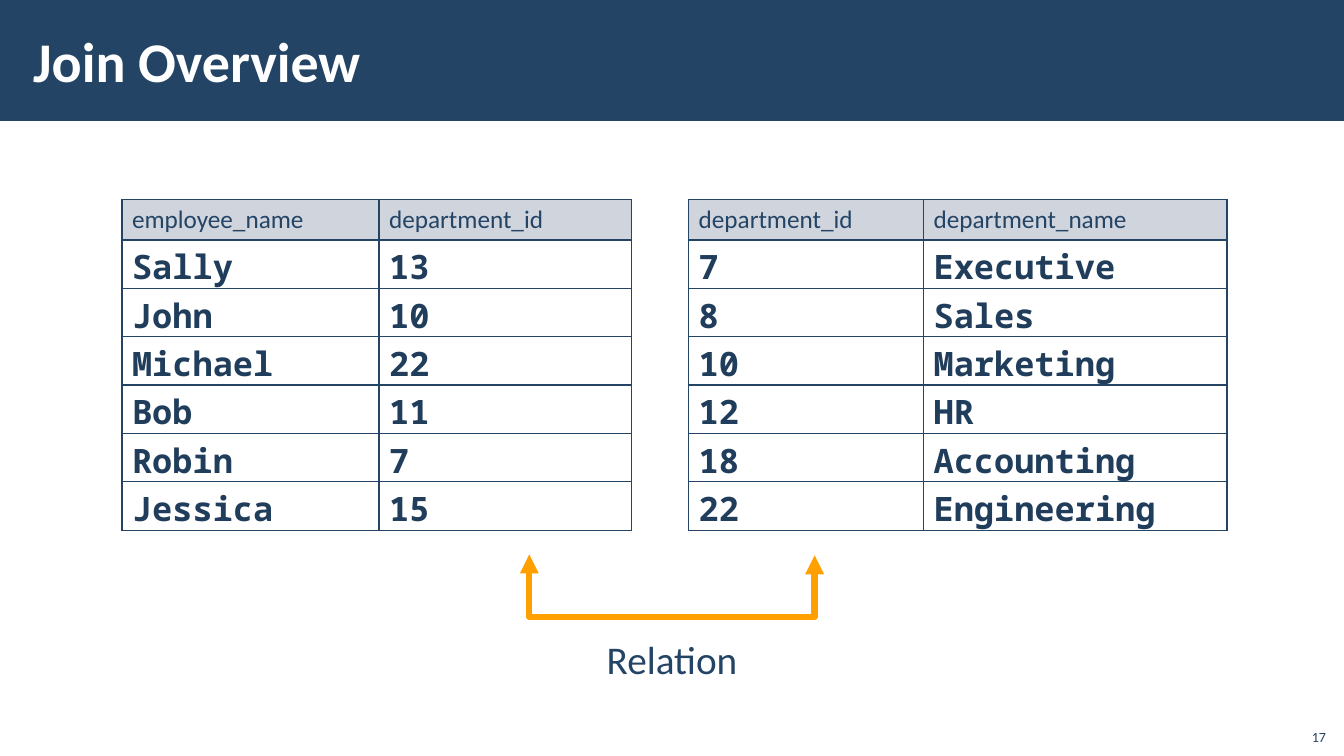
from dataclasses import dataclass

from lxml.etree import SubElement
from pptx import Presentation
from pptx.dml.color import RGBColor
from pptx.enum.shapes import MSO_CONNECTOR, MSO_SHAPE
from pptx.enum.text import MSO_ANCHOR, PP_ALIGN
from pptx.oxml.ns import qn
from pptx.util import Inches, Pt


@dataclass(frozen=True)
class Theme:
    """Colours, fonts and type sizes of the slide."""
    navy: str = "234465"
    ink: str = "203D5B"
    header: str = "A3ABBC"
    orange: str = "FFA000"
    white: str = "FFFFFF"
    font: str = "Calibri"
    mono: str = "Noto Sans Mono"
    title: int = 40
    label: int = 28
    value: int = 24
    heading: int = 18
    small: int = 10


def format_text(frame, text, *, size, color, font, bold=False,
                align=PP_ALIGN.LEFT, spacing=None):
    """Write one formatted paragraph into a text frame."""
    para = frame.paragraphs[0]
    para.alignment = align
    para.line_spacing = spacing
    span = para.add_run()
    span.text = text
    span.font.size = Pt(size)
    span.font.name = font
    span.font.bold = bold
    span.font.color.rgb = RGBColor.from_string(color)


def add_border(cell, color, width):
    """Draw a solid line on the four sides of a table cell."""
    properties = cell._tc.get_or_add_tcPr()
    for index, side in enumerate(("lnL", "lnR", "lnT", "lnB")):
        line = SubElement(properties, qn(f"a:{side}"), w=str(Pt(width)))
        fill = SubElement(line, qn("a:solidFill"))
        SubElement(fill, qn("a:srgbClr"), val=color)
        properties.insert(index, line)


class SlideBuilder:
    """Holds the theme and the current slide."""

    def __init__(self, page, theme):
        """Keep the page to draw on and its style."""
        self.page = page
        self.theme = theme

    def bar(self, left, top, width, height, color):
        """Add a filled rectangle without outline."""
        shape = self.page.shapes.add_shape(
            MSO_SHAPE.RECTANGLE, *map(Inches, (left, top, width, height)))
        shape.shadow.inherit = False
        shape.fill.solid()
        shape.fill.fore_color.rgb = RGBColor.from_string(color)
        shape.line.fill.background()

    def text(self, text, left, top, width, height, *, anchor=MSO_ANCHOR.TOP,
             wrap=True, margins=(0.1, 0.05), **style):
        """Add a text box with one paragraph."""
        box = self.page.shapes.add_textbox(
            *map(Inches, (left, top, width, height)))
        frame = box.text_frame
        frame.word_wrap = wrap
        frame.vertical_anchor = anchor
        frame.margin_left = frame.margin_right = Inches(margins[0])
        frame.margin_top = frame.margin_bottom = Inches(margins[1])
        format_text(frame, text, **{"font": self.theme.font, **style})

    def table(self, rows, left, top, widths, header_height=0.4, row_height=0.48):
        """Add a bordered table whose first row is the header."""
        theme = self.theme
        height = header_height + row_height * (len(rows) - 1)
        table = self.page.shapes.add_table(
            len(rows), len(widths),
            *map(Inches, (left, top, sum(widths), height))).table
        table.first_row = table.horz_banding = False
        for column, width in zip(table.columns, widths):
            column.width = Inches(width)
        for index, values in enumerate(rows):
            is_header = index == 0
            table.rows[index].height = Inches(
                header_height if is_header else row_height)
            for column, value in enumerate(values):
                cell = table.cell(index, column)
                if is_header:
                    self.header_fill(cell)
                    format_text(cell.text_frame, value, size=theme.heading,
                                color=theme.navy, font=theme.font)
                else:
                    cell.fill.background()
                    cell.margin_bottom = 0
                    format_text(cell.text_frame, value, size=theme.value,
                                color=theme.ink, font=theme.mono, bold=True,
                                spacing=0.95)
                add_border(cell, theme.navy, 1)

    def header_fill(self, cell):
        """Fill a header cell with the half transparent header colour."""
        cell.fill.solid()
        cell.fill.fore_color.rgb = RGBColor.from_string(self.theme.header)
        color = cell._tc.tcPr.find(f".//{qn('a:srgbClr')}")
        SubElement(color, qn("a:alpha"), val="50000")

    def bracket_arrow(self, start, end, depth, color, width):
        """Join two points by an elbow that dips below them, arrows at both ends."""
        center_x, center_y = ((a + b) / 2 for a, b in zip(start, end))
        half_span, half_rise = (abs(b - a) / 2 for a, b in zip(start, end))
        # The elbow is laid out upright, then mirrored and turned by 270 degrees.
        connector = self.page.shapes.add_connector(
            MSO_CONNECTOR.ELBOW,
            Inches(center_x + half_rise), Inches(center_y - half_span),
            Inches(center_x - half_rise), Inches(center_y + half_span))
        connector.line.color.rgb = RGBColor.from_string(color)
        connector.line.width = Pt(width)
        properties = connector._element.spPr
        properties.find(qn("a:xfrm")).set("rot", str(270 * 60000))
        guides = properties.find(f".//{qn('a:avLst')}")
        bend = round(depth / (2 * half_rise) * 100000)
        SubElement(guides, qn("a:gd"), name="adj1", fmla=f"val {bend}")
        line = properties.find(qn("a:ln"))
        for tip in ("headEnd", "tailEnd"):
            SubElement(line, qn(f"a:{tip}"), type="triangle")
        SubElement(properties, qn("a:effectLst"))


EMPLOYEES = [
    ("employee_name", "department_id"),
    ("Sally", "13"),
    ("John", "10"),
    ("Michael", "22"),
    ("Bob", "11"),
    ("Robin", "7"),
    ("Jessica", "15"),
]
DEPARTMENTS = [
    ("department_id", "department_name"),
    ("7", "Executive"),
    ("8", "Sales"),
    ("10", "Marketing"),
    ("12", "HR"),
    ("18", "Accounting"),
    ("22", "Engineering"),
]


def main():
    """Build the slide and save the deck."""
    theme = Theme()
    deck = Presentation()
    deck.slide_width, deck.slide_height = Inches(13.33), Inches(7.5)
    page = deck.slides.add_slide(deck.slide_layouts[6])
    slide = SlideBuilder(page, theme)

    slide.bar(0, 0, 13.33, 1.2, theme.navy)
    slide.text("Join Overview", 0.21, 0.11, 10.63, 0.97, size=theme.title,
               color=theme.white, bold=True, anchor=MSO_ANCHOR.MIDDLE,
               margins=(0.12, 0.04))
    slide.bracket_arrow((5.25, 5.5), (8.08, 5.51), 0.63, theme.orange, 4.5)
    slide.text("Relation", 5.91, 6.25, 1.51, 0.57, size=theme.label,
               color=theme.navy, align=PP_ALIGN.CENTER, wrap=False)
    slide.table(EMPLOYEES, 1.21, 1.98, (2.55, 2.5))
    slide.table(DEPARTMENTS, 6.83, 1.98, (2.33, 3.01))
    slide.text("17", 12.85, 7.12, 0.4, 0.32, size=theme.small,
               color=theme.navy, align=PP_ALIGN.RIGHT, anchor=MSO_ANCHOR.BOTTOM)
    deck.save("out.pptx")


main()
